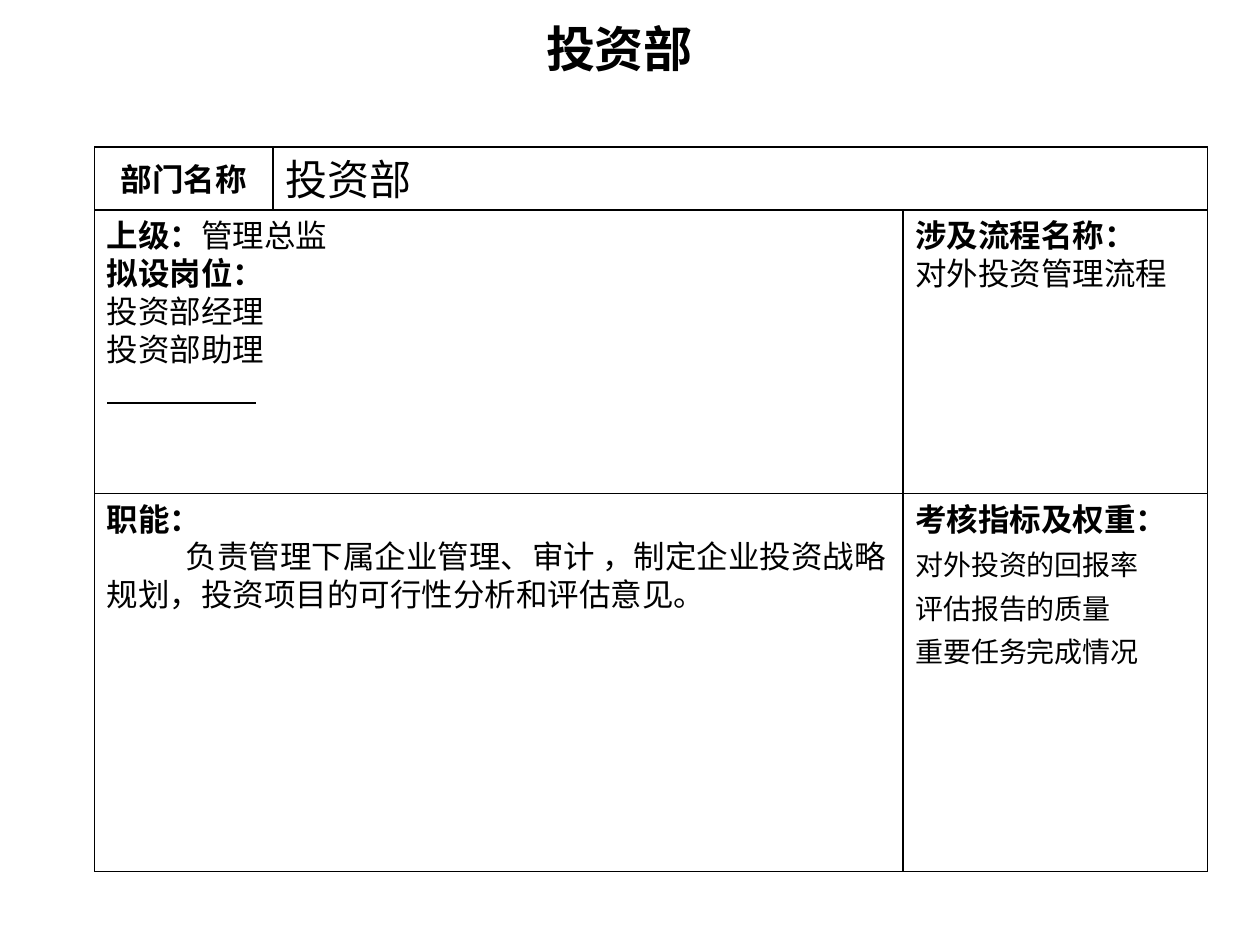
from lxml.etree import SubElement
from pptx import Presentation
from pptx.dml.color import RGBColor
from pptx.enum.shapes import MSO_CONNECTOR, MSO_SHAPE
from pptx.enum.text import MSO_ANCHOR, MSO_AUTO_SIZE, PP_ALIGN
from pptx.oxml.ns import qn
from pptx.util import Pt

SERIF, SANS = "Times New Roman", "Noto Sans CJK SC"
BLACK, WHITE = "000000", "FFFFFF"


def colour(value):
    return RGBColor.from_string(value)


def add_span(para, text, size=18, bold=False, font=SERIF):
    span = para.add_run()
    span.text = text
    span.font.size = Pt(size)
    span.font.bold = bold
    span.font.color.rgb = colour(BLACK)
    span.font.name = font
    # East Asian glyphs need their own font entry
    east_asian = SubElement(span.font._element, qn("a:ea"))
    east_asian.set("typeface", SANS)


def set_up_frame(frame, anchor):
    frame.word_wrap = True
    frame.auto_size = MSO_AUTO_SIZE.NONE
    frame.vertical_anchor = anchor
    frame.margin_left = frame.margin_right = Pt(7.2)
    frame.margin_top = frame.margin_bottom = Pt(3.6)


def add_title(page, left, top, width, height, text):
    title = page.shapes.title
    title.left, title.top, title.width, title.height = map(Pt, (left, top, width, height))
    set_up_frame(title.text_frame, MSO_ANCHOR.MIDDLE)
    para = title.text_frame.paragraphs[0]
    para.alignment = PP_ALIGN.CENTER
    add_span(para, text, 28, True, SANS)


def add_box(page, left, top, right, bottom, anchor=MSO_ANCHOR.TOP):
    box = page.shapes.add_shape(
        MSO_SHAPE.RECTANGLE, Pt(left), Pt(top), Pt(right - left), Pt(bottom - top))
    box.shadow.inherit = False
    box.fill.solid()
    box.fill.fore_color.rgb = colour(WHITE)
    box.line.color.rgb = colour(BLACK)
    box.line.width = Pt(0.75)
    set_up_frame(box.text_frame, anchor)
    return box.text_frame


def add_para(frame, *spans, align=PP_ALIGN.LEFT, spacing=None, indent=0):
    """Each span holds the arguments of add_span after the paragraph."""
    first = frame.paragraphs[0]
    para = frame.add_paragraph() if first.runs else first
    para.alignment = align
    if spacing:
        para.line_spacing = spacing
    if indent:
        para._p.get_or_add_pPr().set("indent", str(Pt(indent)))
    for span in spans:
        add_span(para, *span)


def add_blank_line(page, left, top, width):
    rule = page.shapes.add_connector(
        MSO_CONNECTOR.STRAIGHT, Pt(left), Pt(top), Pt(left + width), Pt(top))
    rule.line.color.rgb = colour(BLACK)
    rule.line.width = Pt(1)
    SubElement(rule._element.spPr, qn("a:effectLst"))


def add_form(page, left, top, width, height):
    right, bottom = left + width, top + height
    label_right, split = left + 102, left + 462
    header_bottom, middle = top + 36, top + 198

    # Outer frame
    add_box(page, left, top, right, bottom)

    # Department name
    label = add_box(page, left, top, label_right, header_bottom, MSO_ANCHOR.MIDDLE)
    add_para(label, ("部门名称", 18, True), align=PP_ALIGN.CENTER)
    name = add_box(page, label_right, top, right, header_bottom, MSO_ANCHOR.MIDDLE)
    add_para(name, ("投资部", 24))

    # Superior and positions, with a line to fill in
    posts = add_box(page, left, header_bottom, split, middle)
    add_para(posts, ("上级：", 18, True), ("管理总监",))
    add_para(posts, ("拟设岗位：", 18, True))
    for post in ("投资部经理", "投资部助理"):
        add_para(posts, (post,))
    add_blank_line(page, left + 7.2, header_bottom + 110.3, 85)

    # Processes involved
    processes = add_box(page, split, header_bottom, right, middle)
    add_para(processes, ("涉及流程名称：", 18, True))
    add_para(processes, ("对外投资管理流程",))

    # Duties
    duties = add_box(page, left, middle, split, bottom)
    add_para(duties, ("职能：", 18, True))
    add_para(duties, ("负责管理下属企业管理、审计 ，制定企业投资战略规划，"
                      "投资项目的可行性分析和评估意见。",), indent=45)

    # Assessment measures
    measures = add_box(page, split, middle, right, bottom)
    add_para(measures, ("考核指标及权重：", 18, True))
    for measure in ("对外投资的回报率", "评估报告的质量", "重要任务完成情况"):
        add_para(measures, (measure, 16, False, SANS), spacing=1.3)


def main():
    deck = Presentation()
    deck.slide_width, deck.slide_height = Pt(720), Pt(540)
    page = deck.slides.add_slide(deck.slide_layouts[5])
    add_title(page, 48, 7, 612, 41, "投资部")
    add_form(page, 54, 84, 636, 414)
    deck.save("out.pptx")


if __name__ == "__main__":
    main()
